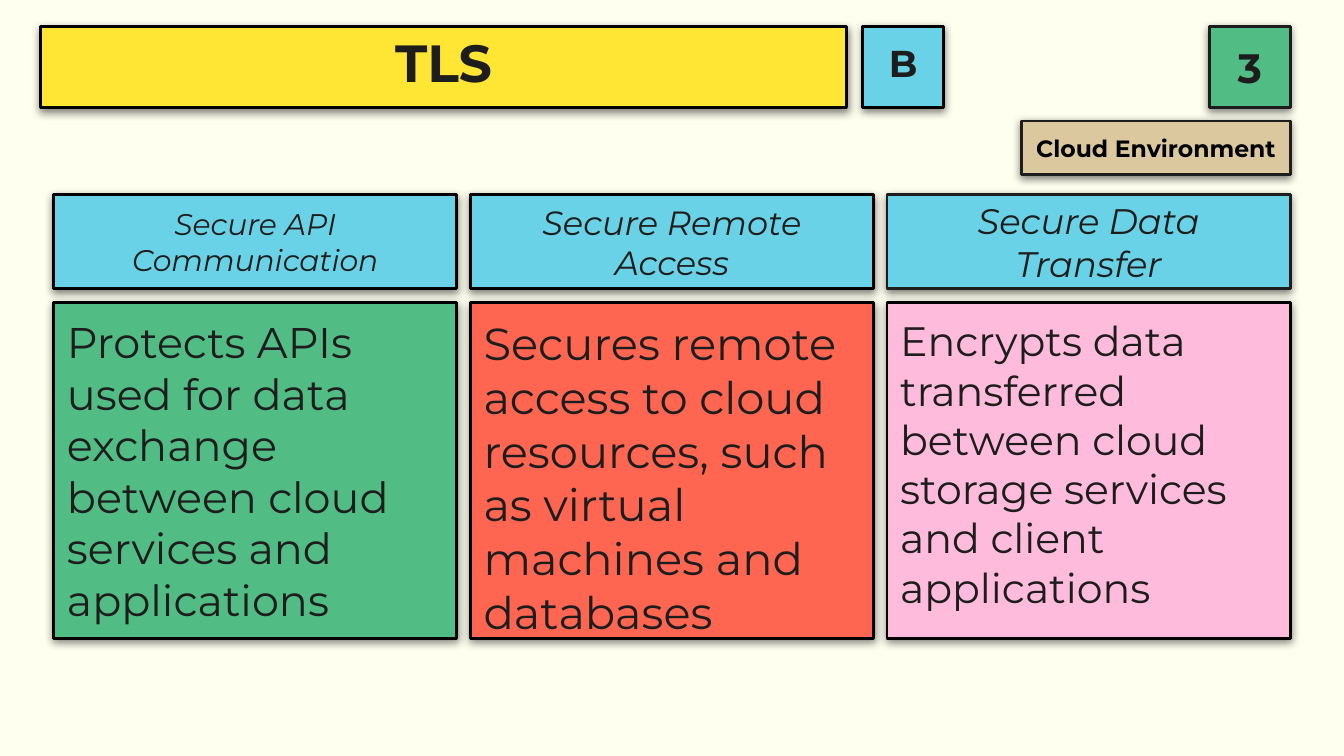
"""Build the TLS slide on cloud environment use cases."""
from lxml import etree
from pptx import Presentation
from pptx.dml.color import RGBColor
from pptx.enum import shapes, text
from pptx.oxml import ns
from pptx.util import Inches, Pt

COLORS = {
    "background": "FFFFF0",
    "ink": "1D1D1D",
    "black": "000000",
    "green": "51BD85",
    "red": "FF6652",
    "blue": "6AD2E6",
    "pink": "FFBBDC",
    "yellow": "FFE534",
    "tan": "DBC89F",
}


def add_shadow(shape):
    shape.shadow.inherit = False
    effects = shape._element.spPr.find(ns.qn("a:effectLst"))
    shadow = etree.SubElement(effects, ns.qn("a:outerShdw"), blurRad=str(Pt(4.5)),
                              dist=str(Pt(1.5)), dir="5400000", algn="bl", rotWithShape="0")
    color = etree.SubElement(shadow, ns.qn("a:srgbClr"), val=COLORS["black"])
    etree.SubElement(color, ns.qn("a:alpha"), val="50000")


def add_box(words, bounds, fill, size, line="black", ink="ink", bold=False, italic=False,
            centered=True, spacing=None):
    shape = slide.shapes.add_shape(shapes.MSO_SHAPE.RECTANGLE, *[Inches(n) for n in bounds])
    shape.fill.solid()
    shape.fill.fore_color.rgb = RGBColor.from_string(COLORS[fill])
    shape.line.color.rgb = RGBColor.from_string(COLORS[line])
    shape.line.width = Pt(1.5)
    add_shadow(shape)
    frame = shape.text_frame
    frame.word_wrap = True
    frame.margin_left = frame.margin_right = Inches(0.1)
    frame.margin_top = frame.margin_bottom = Inches(0.1)
    frame.vertical_anchor = text.MSO_ANCHOR.MIDDLE if centered else text.MSO_ANCHOR.TOP
    frame.text = words
    paragraph = frame.paragraphs[0]
    paragraph.alignment = text.PP_ALIGN.CENTER if centered else text.PP_ALIGN.LEFT
    if spacing:
        paragraph.line_spacing = spacing
    font = paragraph.runs[0].font
    font.name = "Montserrat"
    font.size = Pt(size)
    font.bold = bold
    font.italic = italic
    font.color.rgb = RGBColor.from_string(COLORS[ink])


presentation = Presentation()
presentation.slide_width = Inches(10)
presentation.slide_height = Inches(10 * 9 / 16)
slide = presentation.slides.add_slide(presentation.slide_layouts[6])
slide.background.fill.solid()
slide.background.fill.fore_color.rgb = RGBColor.from_string(COLORS["background"])

add_box("TLS", (0.3, 0.2, 6, 0.6), "yellow", 28, bold=True, spacing=0.8)
add_box("B", (6.42, 0.2, 0.6, 0.6), "blue", 20, bold=True, spacing=0.8)
add_box("3", (9, 0.2, 0.6, 0.6), "green", 22, line="ink", bold=True)
add_box("Cloud Environment", (7.6, 0.9, 2, 0.4), "tan", 12.6, line="ink", ink="black", bold=True)

use_cases = [
    ("Secure API Communication", 16, "black",
     "Protects APIs used for data exchange between cloud services and applications", 23, "green"),
    ("Secure Remote Access", 18, "black",
     "Secures remote access to cloud resources, such as virtual machines and databases", 24, "red"),
    ("Secure Data Transfer", 19, "ink",
     "Encrypts data transferred between cloud storage services and client applications", 22, "pink"),
]
for column, (heading, heading_size, line, body, body_size, fill) in enumerate(use_cases):
    left = 0.4 + 3.1 * column
    add_box(heading, (left, 1.45, 3, 0.7), "blue", heading_size, line=line, italic=True)
    add_box(body, (left, 2.25, 3, 2.5), fill, body_size, centered=False)

presentation.save("out.pptx")
